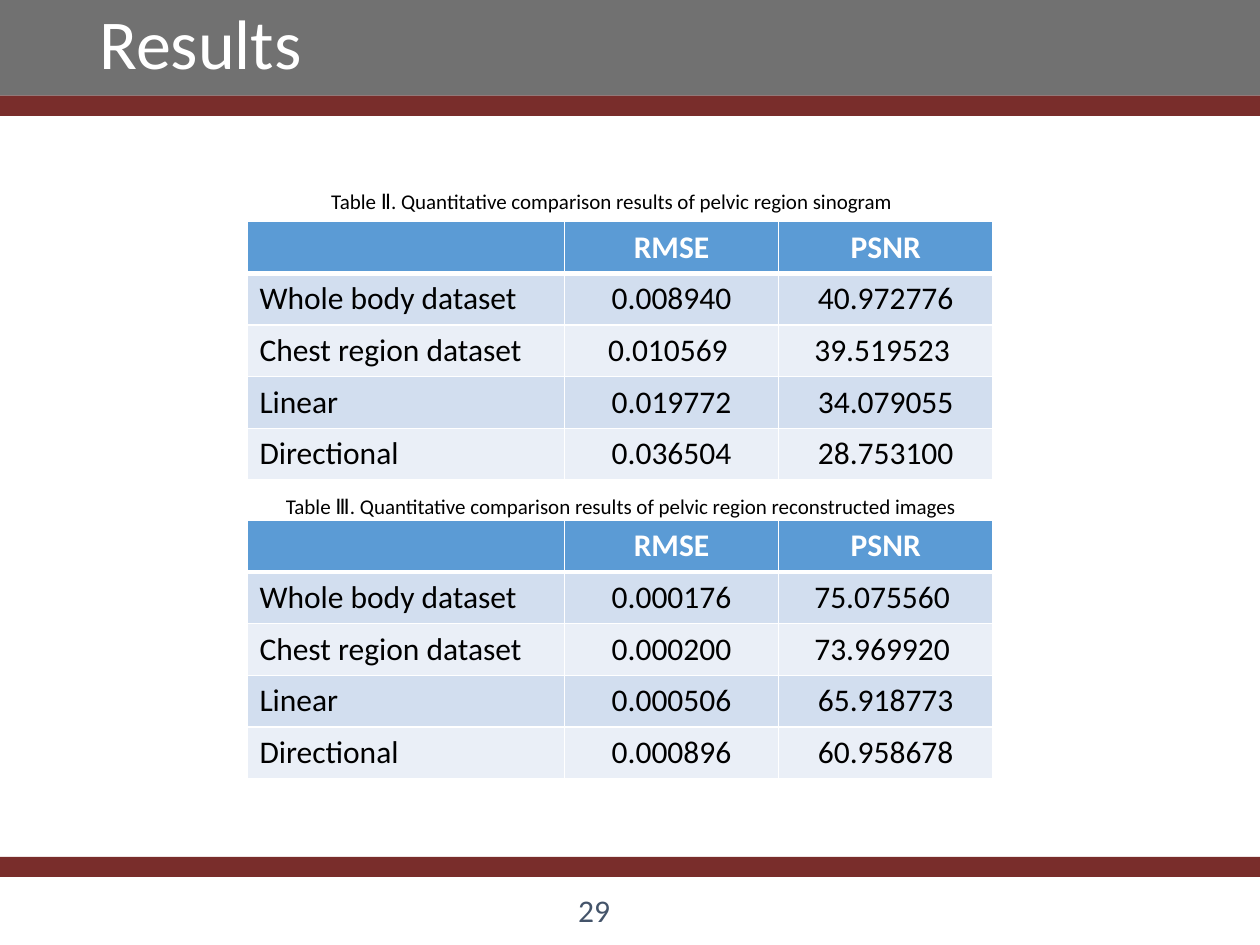
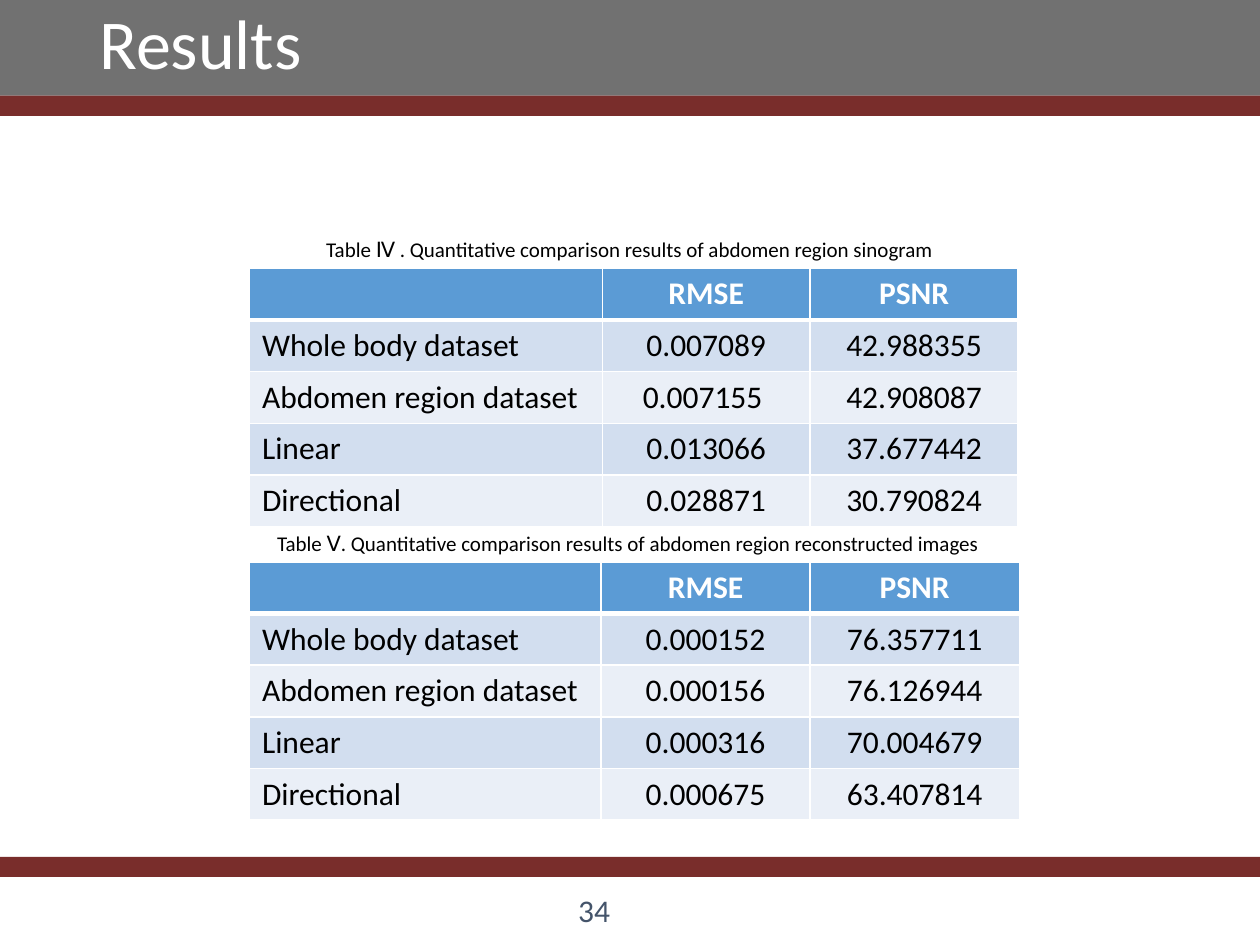
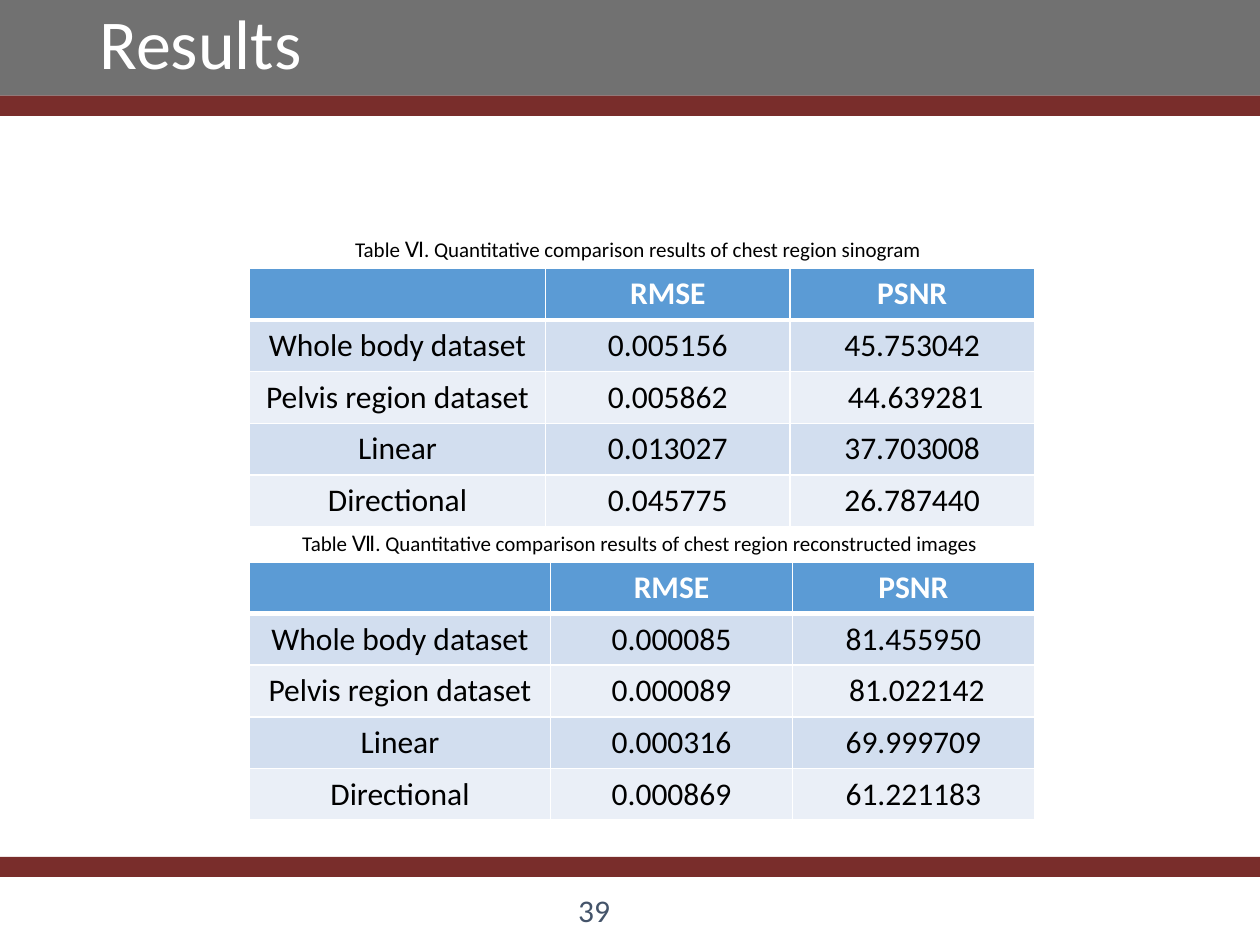
from dataclasses import dataclass

from lxml import etree
from pptx import Presentation
from pptx.dml.color import RGBColor
from pptx.enum.shapes import MSO_SHAPE
from pptx.enum.text import MSO_ANCHOR, MSO_AUTO_SIZE, PP_ALIGN
from pptx.oxml.ns import qn
from pptx.util import Inches, Pt

RECTANGLE = MSO_SHAPE.RECTANGLE
MIDDLE = MSO_ANCHOR.MIDDLE
FIT_SHAPE = MSO_AUTO_SIZE.SHAPE_TO_FIT_TEXT
LEFT, CENTER = PP_ALIGN.LEFT, PP_ALIGN.CENTER


@dataclass(frozen=True)
class Theme:
    font: str = "Calibri"
    white: str = "FFFFFF"
    black: str = "000000"
    title_band: str = "595959"
    accent_band: str = "792D2B"
    page_number: str = "44546A"
    header_fill: str = "5B9BD5"
    row_fills: tuple = ("D2DEEF", "EAEFF7")
    title_size: int = 40
    body_size: int = 18
    caption_size: int = 12
    thin_rule: int = 1
    header_rule: int = 3


THEME = Theme()
PAGE_WIDTH, PAGE_HEIGHT = 10, 7.5
ROW_HEIGHT = 0.41


@dataclass(frozen=True)
class Result:
    """A captioned table: positions and column widths in inches."""
    caption: str
    caption_at: tuple
    table_at: tuple
    label_width: float
    value_width: float
    rows: tuple
    label_align: PP_ALIGN = LEFT


PELVIC = (
    Result("Table Ⅱ. Quantitative comparison results of pelvic region sinogram",
           (2.53, 1.45, 4.78), (1.96, 1.76), 2.52, 1.7,
           (("Whole body dataset", "0.008940", "40.972776"),
            ("Chest region dataset", "0.010569 ", "39.519523 "),
            ("Linear", "0.019772", "34.079055"),
            ("Directional", "0.036504", "28.753100"))),
    Result("Table Ⅲ. Quantitative comparison results of pelvic region reconstructed images",
           (2.17, 3.87, 5.62), (1.96, 4.13), 2.52, 1.7,
           (("Whole body dataset", "0.000176", "75.075560 "),
            ("Chest region dataset", "0.000200", "73.969920 "),
            ("Linear", "0.000506", "65.918773"),
            ("Directional", "0.000896", "60.958678"))),
)
ABDOMEN = (
    Result("Table Ⅳ . Quantitative comparison results of abdomen region sinogram",
           (2.49, 1.83, 5.08), (1.98, 2.13), 2.8, 1.65,
           (("Whole body dataset", "0.007089", "42.988355"),
            ("Abdomen region dataset", "0.007155 ", "42.908087"),
            ("Linear", "0.013066", "37.677442"),
            ("Directional", "0.028871", "30.790824"))),
    Result("Table Ⅴ. Quantitative comparison results of abdomen region reconstructed images",
           (2.1, 4.16, 5.88), (1.98, 4.46), 2.79, 1.66,
           (("Whole body dataset", "0.000152", "76.357711"),
            ("Abdomen region dataset", "0.000156", "76.126944"),
            ("Linear", "0.000316", "70.004679"),
            ("Directional", "0.000675", "63.407814"))),
)
CHEST = (
    Result("Table Ⅵ. Quantitative comparison results of chest region sinogram",
           (2.72, 1.83, 4.75), (1.98, 2.13), 2.35, 1.94,
           (("Whole body dataset", "0.005156", "45.753042"),
            ("Pelvis region dataset", "0.005862", " 44.639281"),
            ("Linear", "0.013027", "37.703008"),
            ("Directional", "0.045775", "26.787440")), CENTER),
    Result("Table Ⅶ. Quantitative comparison results of chest region reconstructed images",
           (2.3, 4.16, 5.59), (1.98, 4.46), 2.39, 1.92,
           (("Whole body dataset", "0.000085", "81.455950"),
            ("Pelvis region dataset", "0.000089", " 81.022142"),
            ("Linear", "0.000316", "69.999709"),
            ("Directional", "0.000869", "61.221183")), CENTER),
)


def write(paragraph, text, size, color, bold=False, align=LEFT):
    paragraph.text = text
    paragraph.alignment = align
    font = paragraph.font
    font.name, font.size, font.bold = THEME.font, Pt(size), bold
    font.color.rgb = RGBColor.from_string(color)


def add_text(page, at, text, size, color, wrap=True):
    box = page.shapes.add_textbox(*map(Inches, at))
    box.text_frame.word_wrap = wrap
    write(box.text_frame.paragraphs[0], text, size, color)
    return box.text_frame


def add_band(page, top, height, color, opacity=100):
    band = page.shapes.add_shape(RECTANGLE, 0, Inches(top), Inches(PAGE_WIDTH), Inches(height))
    band.shadow.inherit = False
    band.line.fill.background()
    band.fill.solid()
    band.fill.fore_color.rgb = RGBColor.from_string(color)
    if opacity < 100:
        tint = band.fill._xPr.find(".//" + qn("a:srgbClr"))
        etree.SubElement(tint, qn("a:alpha"), val=str(opacity * 1000))


def set_borders(cell, top, bottom):
    """Draw white rules on all four sides of a cell; widths in points."""
    properties = cell._tc.get_or_add_tcPr()
    widths = {"a:lnL": THEME.thin_rule, "a:lnR": THEME.thin_rule, "a:lnT": top, "a:lnB": bottom}
    for side, width in widths.items():
        rule = etree.SubElement(properties, qn(side), w=str(Pt(width)))
        fill = etree.SubElement(rule, qn("a:solidFill"))
        etree.SubElement(fill, qn("a:srgbClr"), val=THEME.white)


def style_cell(cell, text, row, align):
    header = row == 0
    fill = THEME.header_fill if header else THEME.row_fills[(row - 1) % 2]
    set_borders(cell,
                top=THEME.header_rule if row == 1 else THEME.thin_rule,
                bottom=THEME.header_rule if header else THEME.thin_rule)
    cell.fill.solid()
    cell.fill.fore_color.rgb = RGBColor.from_string(fill)
    cell.vertical_anchor = MIDDLE
    write(cell.text_frame.paragraphs[0], text, THEME.body_size,
          THEME.white if header else THEME.black, header, align)


def add_result(page, result):
    rows = (("", "RMSE", "PSNR"),) + result.rows
    widths = (result.label_width, result.value_width, result.value_width)
    size = (sum(widths), ROW_HEIGHT * len(rows))
    table = page.shapes.add_table(len(rows), len(widths),
                                  *map(Inches, result.table_at + size)).table
    for column, width in zip(table.columns, widths):
        column.width = Inches(width)
    for row, texts in enumerate(rows):
        for column, text in enumerate(texts):
            align = result.label_align if column == 0 else CENTER
            style_cell(table.cell(row, column), text, row, align)

    caption = add_text(page, result.caption_at + (0.3,), result.caption,
                       THEME.caption_size, THEME.black, wrap=False)
    caption.auto_size = FIT_SHAPE


def add_page(deck, title, number):
    page = deck.slides.add_slide(deck.slide_layouts[6])
    # Footer number and bands
    add_text(page, (4.49, 7.02, 0.51, 0.4), number, THEME.body_size, THEME.page_number)
    add_band(page, 0, 0.76, THEME.title_band, opacity=85)
    for top in (0.76, 6.8):
        add_band(page, top, 0.16, THEME.accent_band)
    # Title
    heading = add_text(page, (0.69, 0, 8.62, 0.75), title, THEME.title_size, THEME.white)
    heading.vertical_anchor = MIDDLE
    heading.paragraphs[0].line_spacing = 0.9
    return page


def main():
    deck = Presentation()
    deck.slide_width, deck.slide_height = Inches(PAGE_WIDTH), Inches(PAGE_HEIGHT)
    for number, results in (("29", PELVIC), ("34", ABDOMEN), ("39", CHEST)):
        page = add_page(deck, "Results", number)
        for result in results:
            add_result(page, result)
    deck.save("out.pptx")


if __name__ == "__main__":
    main()
